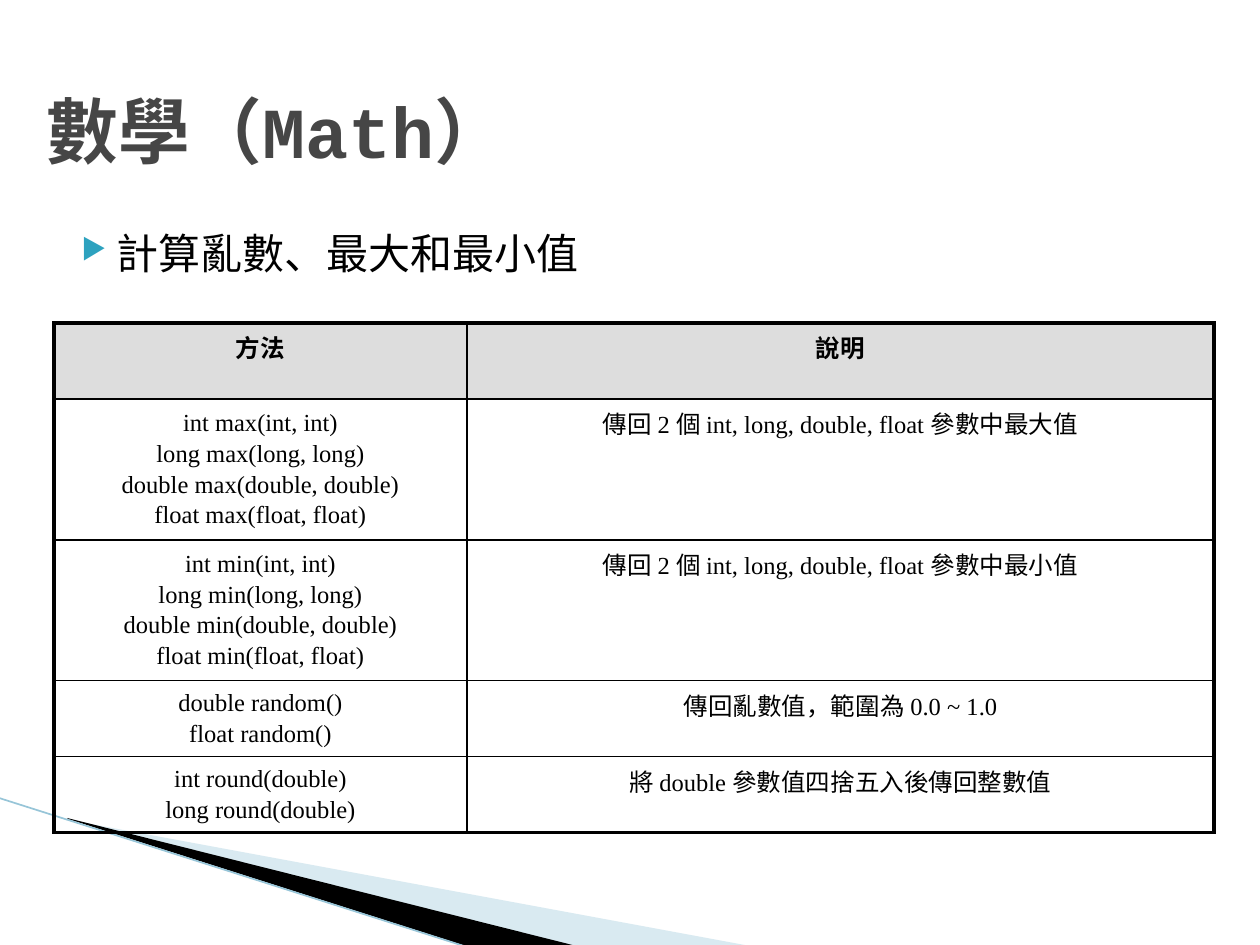
from lxml import etree
from pptx import Presentation
from pptx import util as u
from pptx.dml.color import RGBColor
from pptx.enum import shapes, text
from pptx.oxml.ns import qn

SCALE = 914400 / 126
COLORS = {
    "ink": "000000",
    "title": "464646",
    "bullet": "2DA2BF",
    "head": "DDDDDD",
    "pale": "A0CBDC",
    "line": "97C5D8",
}
MONO, SERIF = "Courier New", "Times New Roman"
THIN, THICK = 1, 2.25
COLS = [413, 747]
HEIGHTS = [76, 136, 136, 76, 76]
ROWS = [
    ("方法", "說明"),
    ("int max(int, int)\nlong max(long, long)\n"
     "double max(double, double)\nfloat max(float, float)",
     "傳回 2 個 int, long, double, float 參數中最大值"),
    ("int min(int, int)\nlong min(long, long)\n"
     "double min(double, double)\nfloat min(float, float)",
     "傳回 2 個 int, long, double, float 參數中最小值"),
    ("double random()\nfloat random()", "傳回亂數值，範圍為 0.0 ~ 1.0"),
    ("int round(double)\nlong round(double)",
     "將 double 參數值四捨五入後傳回整數值"),
]


def px(n):
    return u.Emu(round(n * SCALE))


def rgb(name):
    return RGBColor.from_string(COLORS[name])


def add(parent, tag, **attrs):
    return etree.SubElement(parent, qn(tag), attrs)


def write(frame, words, size, face, color="ink", bold=False,
          align=text.PP_ALIGN.LEFT, gap=0, bullet=None):
    frame.word_wrap = True
    for i, line in enumerate(words.split("\n")):
        para = frame.paragraphs[0] if i == 0 else frame.add_paragraph()
        if bullet:
            mark(para, bullet)
        para.alignment = align
        para.space_before = u.Pt(gap if i else 0)
        run = para.add_run()
        run.text = line
        font = run.font
        font.size, font.name, font.bold = u.Pt(size), face, bold
        font.color.rgb = rgb(color)


def mark(para, char):
    props = para._p.get_or_add_pPr()
    props.set("marL", str(px(50)))
    props.set("indent", str(px(-35)))
    add(add(props, "a:buClr"), "a:srgbClr", val=COLORS["bullet"])
    add(props, "a:buSzPct", val="68000")
    add(props, "a:buChar", char=char)


def wedge(slide, points, color, alpha=None):
    start, *rest = points
    pen = slide.shapes.build_freeform(*start, scale=SCALE)
    pen.add_line_segments(rest, close=True)
    shape = pen.convert_to_shape()
    shape.shadow.inherit = False
    shape.fill.solid()
    shape.fill.fore_color.rgb = rgb(color)
    shape.line.fill.background()
    if alpha:
        tint = shape._element.spPr.find(".//" + qn("a:srgbClr"))
        add(tint, "a:alpha", val=str(alpha * 1000))


def rule(slide, start, end, color, width):
    line = slide.shapes.add_connector(
        shapes.MSO_CONNECTOR.STRAIGHT, *map(px, start + end))
    line.line.color.rgb = rgb(color)
    line.line.width = u.Pt(width)
    add(line._element.spPr, "a:effectLst")


def edge(cell, sides):
    props = cell._tc.get_or_add_tcPr()
    for i, (side, width) in enumerate(sides.items()):
        line = etree.Element(qn("a:ln" + side), w=str(u.Pt(width)))
        add(add(line, "a:solidFill"), "a:srgbClr", val=COLORS["ink"])
        props.insert(i, line)


def grid(slide, left, top):
    frame = slide.shapes.add_table(
        len(ROWS), len(COLS), px(left), px(top),
        px(sum(COLS)), px(sum(HEIGHTS)))
    table = frame.table
    table.first_row = table.horz_banding = False
    for col, width in zip(table.columns, COLS):
        col.width = px(width)
    for r, (row, height) in enumerate(zip(ROWS, HEIGHTS)):
        table.rows[r].height = px(height)
        for c, words in enumerate(row):
            cell = table.cell(r, c)
            head = r == 0
            if head:
                cell.fill.solid()
                cell.fill.fore_color.rgb = rgb("head")
            else:
                cell.fill.background()
            mid = c == 0 and not head
            cell.vertical_anchor = (text.MSO_ANCHOR.MIDDLE if mid
                                    else text.MSO_ANCHOR.TOP)
            write(cell.text_frame, words, 14, SERIF, bold=head,
                  align=text.PP_ALIGN.CENTER, gap=2)
            outer = {"L": c == 0, "R": c == len(COLS) - 1,
                     "T": head, "B": r == len(ROWS) - 1}
            edge(cell, {k: THICK if v else THIN for k, v in outer.items()})


def title(slide, words):
    box = slide.shapes.title
    box.left, box.top, box.width, box.height = map(px, (34, 66, 1194, 128))
    box.text_frame.vertical_anchor = text.MSO_ANCHOR.MIDDLE
    write(box.text_frame, words, 41, MONO, color="title", bold=True)


def body(slide, words):
    box = slide.shapes.add_textbox(*map(px, (54, 221, 576, 80)))
    write(box.text_frame, words, 24, MONO, bullet="▶")


def main():
    deck = Presentation()
    deck.slide_width, deck.slide_height = px(1260), px(945)
    slide = deck.slides.add_slide(deck.slide_layouts[5])
    wedge(slide, [(69, 820), (750, 946), (575, 946), (69, 819)], "pale", 40)
    wedge(slide, [(67, 818), (576, 946), (469, 947), (68, 819)], "ink")
    rule(slide, (-1, 798), (467, 947), "line", 0.95)
    title(slide, "數學（Math）")
    body(slide, "計算亂數、最大和最小值")
    grid(slide, 54, 323)
    deck.save("out.pptx")


if __name__ == "__main__":
    main()
